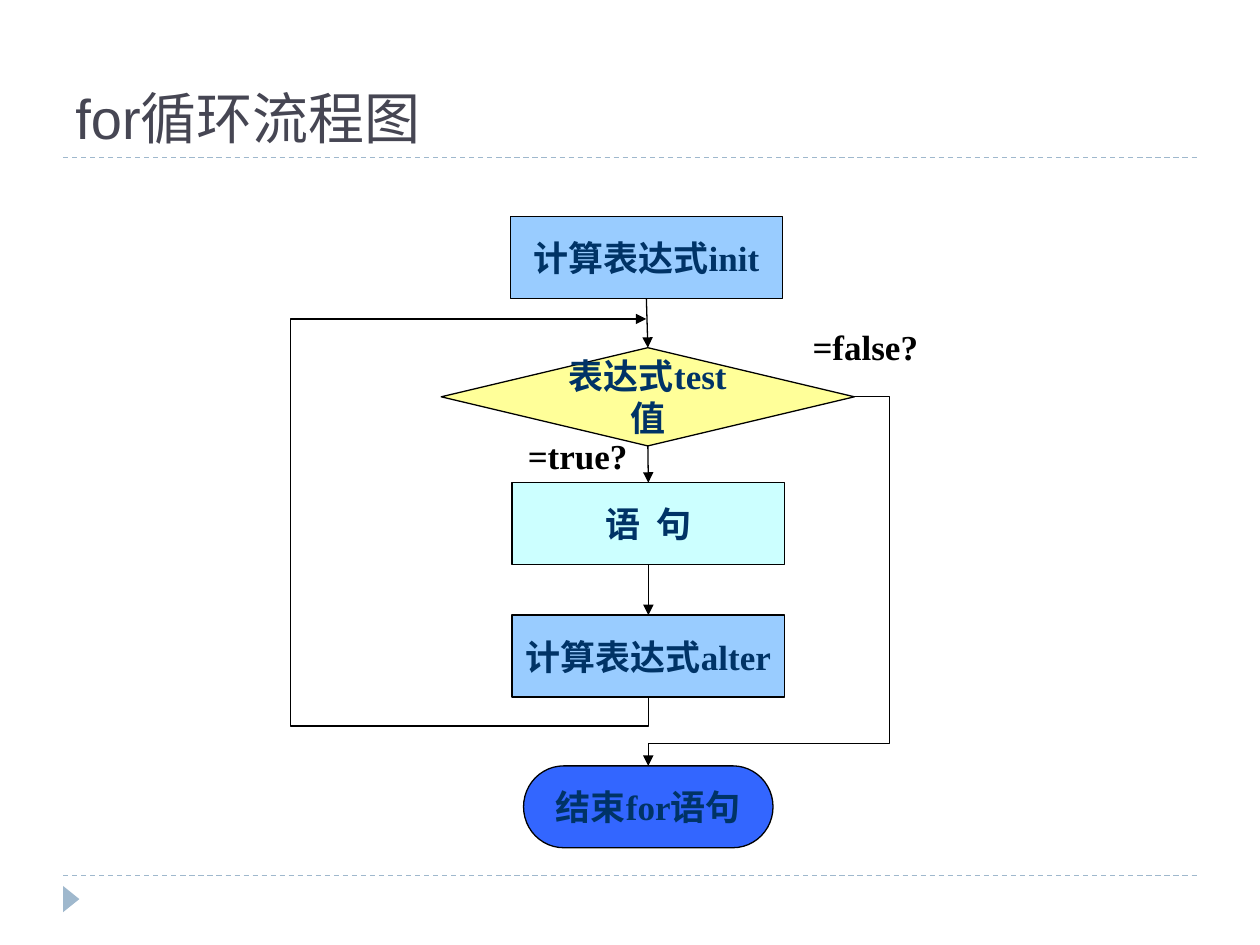
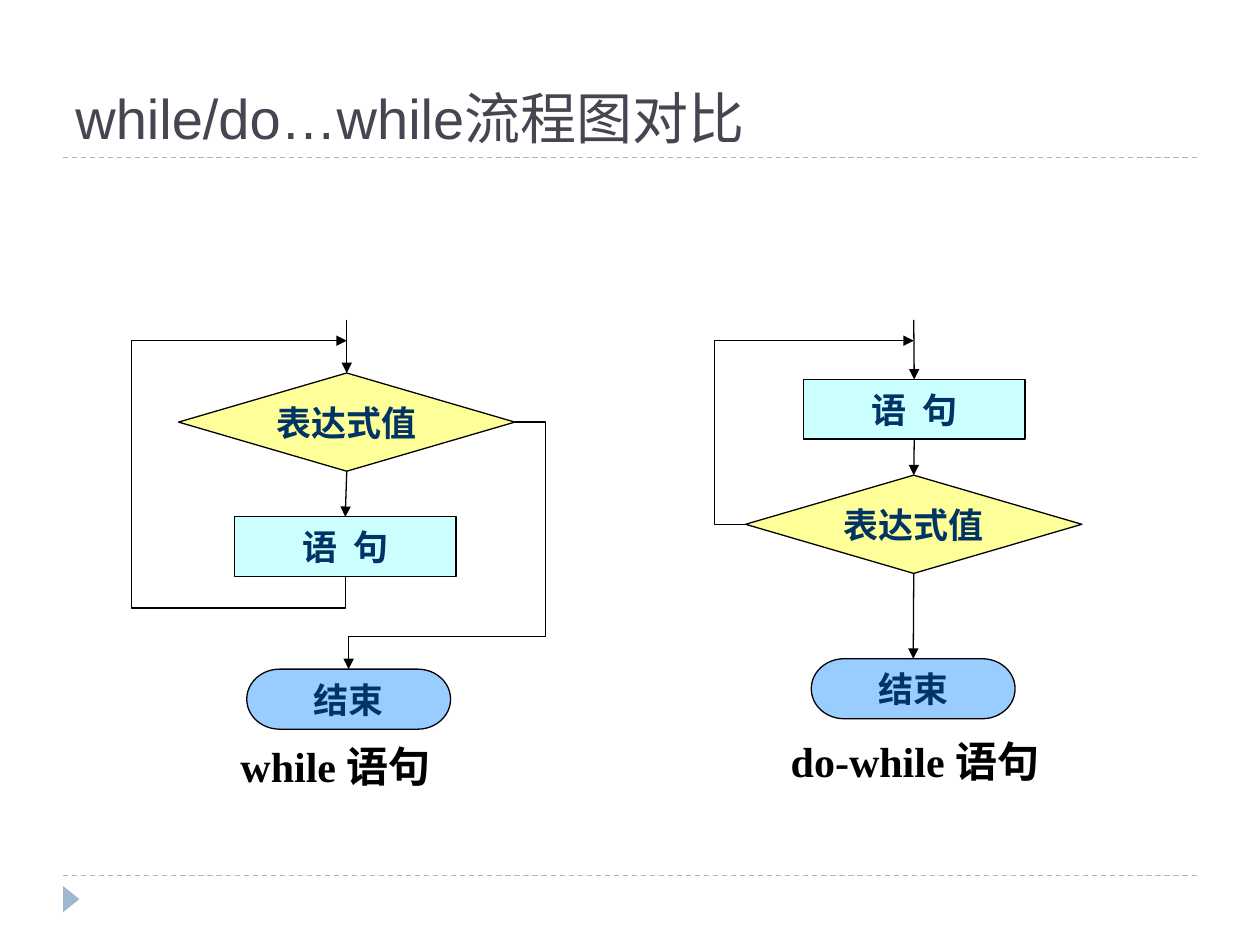
"""Build two slides of loop flowcharts from lists of nodes, links and routes."""
from lxml.etree import SubElement
from pptx import Presentation
from pptx.dml.color import RGBColor
from pptx.enum.dml import MSO_LINE as Dash
from pptx.enum.shapes import MSO_CONNECTOR as Conn, MSO_SHAPE as Shape
from pptx.enum.text import MSO_ANCHOR as Anchor, PP_ALIGN as Align
from pptx.oxml.ns import qn
from pptx.util import Cm, Pt

COLORS = {"title": "464653", "rule": "9FB8CD", "ink": "000000", "node": "003366",
          "sky": "99CCFF", "ice": "CCFFFF", "yellow": "FFFF99", "blue": "3366FF"}
KINDS = {"box": Shape.RECTANGLE, "test": Shape.DIAMOND,
         "end": Shape.FLOWCHART_TERMINATOR}
FONTS = {"title": {"name": "Arial", "size": Pt(32)},
         "node": {"name": "Times New Roman", "size": Pt(20), "bold": True},
         "caption": {"name": "Times New Roman", "size": Pt(24), "bold": True}}
LEFT, RIGHT, TITLE_RULE, FOOT_RULE = 1.27, 24.13, 3.17, 17.65

# nodes: kind, text, fill, centre x, top, width, height
# routes: start node, side, lane x, turn y, end node or merge point
SLIDES = [
    {"title": "for循环流程图",
     "nodes": {
         "init": ("box", "计算表达式init", "sky", 13.03, 4.37, 5.49, 1.65),
         "test": ("test", "表达式test值", "yellow", 13.06, 7.01, 8.33, 1.98),
         "body": ("box", "语  句", "ice", 13.07, 9.73, 5.49, 1.65),
         "alter": ("box", "计算表达式alter", "sky", 13.07, 12.4, 5.49, 1.65),
         "end": ("end", "结束for语句", "blue", 13.07, 15.44, 5.03, 1.65)},
     "entries": [],
     "links": [("init", "test"), ("test", "body"), ("body", "alter")],
     "routes": [("test", "right", 17.93, 14.99, "end"),
                ("alter", "bottom", 5.85, 14.64, (13.03, 6.43))],
     "labels": [("=false?", "node", Align.LEFT, 16.13, 6.43, 3.81),
                ("=true?", "node", Align.LEFT, 10.39, 8.64, 3.86)]},
    {"title": "while/do…while流程图对比",
     "nodes": {
         "test": ("test", "表达式值", "yellow", 6.99, 7.52, 6.78, 1.98),
         "body": ("box", "语  句", "ice", 6.96, 10.42, 4.47, 1.2),
         "end": ("end", "结束", "sky", 7.03, 13.49, 4.11, 1.21),
         "do body": ("box", "语  句", "ice", 18.43, 7.65, 4.47, 1.2),
         "do test": ("test", "表达式值", "yellow", 18.42, 9.58, 6.78, 1.98),
         "do end": ("end", "结束", "sky", 18.41, 13.28, 4.11, 1.21)},
     "entries": [((6.99, 6.45), "test"), ((18.42, 6.45), "do body")],
     "links": [("test", "body"), ("do body", "do test"), ("do test", "do end")],
     "routes": [("test", "right", 11, 12.83, "end"),
                ("body", "bottom", 2.65, 12.26, (6.99, 6.87)),
                ("do test", "left", 14.4, None, (18.42, 6.87))],
     "labels": [("while 语句", "caption", Align.CENTER, 4.57, 14.81, 4.39),
                ("do-while 语句", "caption", Align.CENTER, 15.65, 14.71, 5.59)]},
]


def rgb(name):
    return RGBColor.from_string(COLORS[name])


def assign(obj, values):
    for key, value in values.items():
        setattr(obj, key, value)


def write(sp, text, style, color, align, **frame):
    tf = sp.text_frame
    assign(tf, frame)
    p = tf.paragraphs[0]
    p.alignment = align
    r = p.add_run()
    r.text = text
    assign(r.font, FONTS[style])
    r.font.color.rgb = rgb(color)


def connect(slide, start, end, color="ink", arrow=True, kind=Conn.STRAIGHT):
    sp = slide.shapes.add_connector(kind, *[Cm(v) for v in (*start, *end)])
    sp.line.color.rgb = rgb(color)
    sp.line.width = Pt(0.75)
    if arrow:
        SubElement(sp.line._get_or_add_ln(), qn("a:tailEnd"), type="triangle")
    SubElement(sp._element.spPr, qn("a:effectLst"))
    return sp


def route(slide, start, end, lane, turn, vertical):
    (x0, y0), (x1, y1) = start, end
    dx, dy = x1 - x0, y1 - y0
    adjusts = [(lane - x0) / dx]
    if turn is not None:
        adjusts.append((turn - y0) / dy)
    if vertical:
        adjusts.reverse()
        mx, my = (x0 + x1) / 2, (y0 + y1) / 2
        start = mx - dy / 2, my + dx / 2
        end = mx + dy / 2, my - dx / 2
    sp = connect(slide, start, end, kind=Conn.ELBOW)
    spPr = sp._element.spPr
    if vertical:
        spPr.find(qn("a:xfrm")).set("rot", str(90 * 60000))
    geom = spPr.find(qn("a:prstGeom"))
    geom.set("prst", f"bentConnector{len(adjusts) + 2}")
    av = geom.find(qn("a:avLst"))
    for i, value in enumerate(adjusts, 1):
        SubElement(av, qn("a:gd"), name=f"adj{i}", fmla=f"val {round(value * 100000)}")


def add_shape(slide, kind, fill, box):
    sp = slide.shapes.add_shape(kind, *[Cm(v) for v in box])
    sp.shadow.inherit = False
    sp.fill.solid()
    sp.fill.fore_color.rgb = rgb(fill)
    return sp


def add_text(slide, box, *args, **frame):
    sp = slide.shapes.add_textbox(*[Cm(v) for v in box])
    write(sp, *args, word_wrap=True, **frame)


def add_frame(slide, title):
    for y in (FOOT_RULE, TITLE_RULE):
        sp = connect(slide, (LEFT, y), (RIGHT, y), "rule", arrow=False)
        sp.line.dash_style = Dash.DASH
    sp = add_shape(slide, Shape.ISOSCELES_TRIANGLE, "rule", (1.17, 17.96, 0.53, 0.33))
    sp.line.fill.background()
    sp.rotation = 90
    add_text(slide, (LEFT, 0.43, RIGHT - LEFT, 2.74), title, "title", "title",
             Align.LEFT, vertical_anchor=Anchor.BOTTOM)


def add_node(slide, kind, text, fill, cx, top, w, h):
    sp = add_shape(slide, KINDS[kind], fill, (cx - w / 2, top, w, h))
    sp.line.color.rgb = rgb("ink")
    sp.line.width = Pt(0.75)
    write(sp, text, "node", "node", Align.CENTER,
          word_wrap=kind == "test", vertical_anchor=Anchor.MIDDLE)


def side_point(node, side):
    cx, top, w, h = node[3:]
    return {"top": (cx, top), "bottom": (cx, top + h),
            "left": (cx - w / 2, top + h / 2),
            "right": (cx + w / 2, top + h / 2)}[side]


def build(prs, data):
    slide = prs.slides.add_slide(prs.slide_layouts[6])
    nodes = data["nodes"]
    add_frame(slide, data["title"])
    for text, style, align, x, y, w in data["labels"]:
        add_text(slide, (x, y, w, 1.2), text, style, "ink", align)
    for node in nodes.values():
        add_node(slide, *node)
    for start, name in data["entries"]:
        connect(slide, start, side_point(nodes[name], "top"))
    for first, second in data["links"]:
        connect(slide, side_point(nodes[first], "bottom"),
                side_point(nodes[second], "top"))
    for name, side, lane, turn, goal in data["routes"]:
        end = side_point(nodes[goal], "top") if goal in nodes else goal
        route(slide, side_point(nodes[name], side), end, lane, turn, side == "bottom")


prs = Presentation()
assign(prs, {"slide_width": Cm(25.4), "slide_height": Cm(19.05)})
for data in SLIDES:
    build(prs, data)
prs.save("out.pptx")
